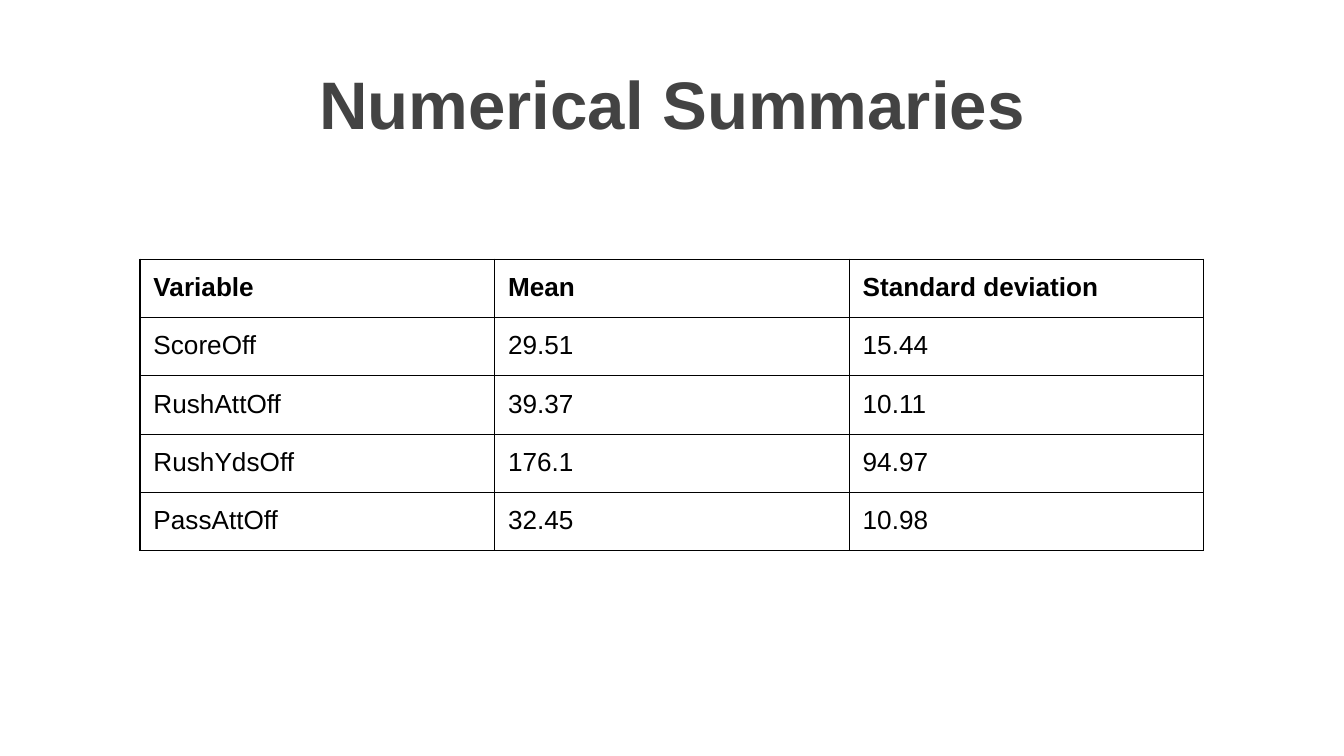
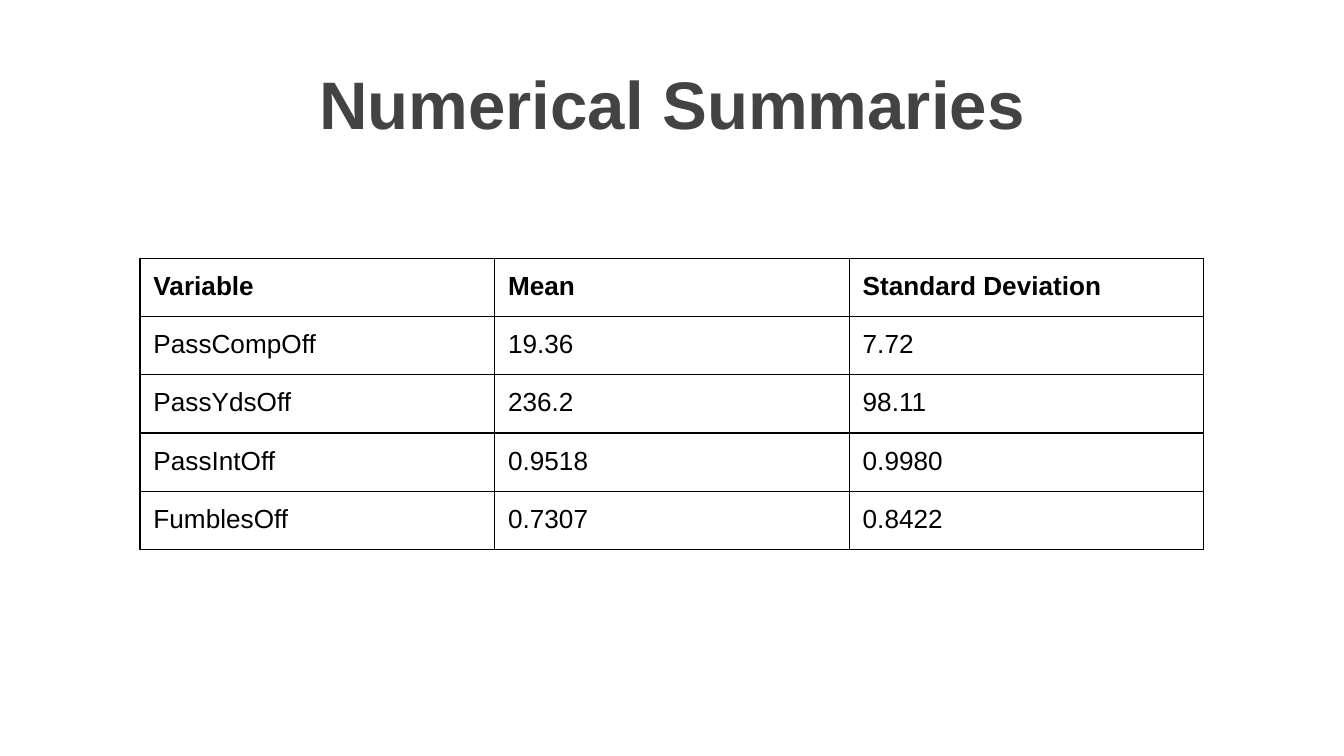
"""Build two slides of numerical summaries, each with a title and a bordered table."""
from lxml.etree import SubElement
from pptx import Presentation
from pptx.dml.color import RGBColor
from pptx.enum.text import MSO_ANCHOR, PP_ALIGN
from pptx.oxml.ns import qn
from pptx.util import Pt

COLORS = {"title": "434343", "text": "000000", "border": "000000"}
FONT = "Arial"
INSET = Pt(7.2)
COLUMN_WIDTH = 190
ROW_HEIGHT = 30.2

SUMMARIES = [
    (138.9, [
        ("Variable", "Mean", "Standard deviation"),
        ("ScoreOff", "29.51", "15.44"),
        ("RushAttOff", "39.37", "10.11"),
        ("RushYdsOff", "176.1", "94.97"),
        ("PassAttOff", "32.45", "10.98"),
    ]),
    (138.3, [
        ("Variable", "Mean", "Standard Deviation"),
        ("PassCompOff", "19.36", "7.72"),
        ("PassYdsOff", "236.2", "98.11"),
        ("PassIntOff", "0.9518", "0.9980"),
        ("FumblesOff", "0.7307", "0.8422"),
    ]),
]


def style_text(text_frame, size, color, bold):
    """Format every run of a text frame."""
    for paragraph in text_frame.paragraphs:
        for run in paragraph.runs:
            run.font.name = FONT
            run.font.size = Pt(size)
            run.font.bold = bold
            run.font.color.rgb = RGBColor.from_string(COLORS[color])


def set_borders(cell, width):
    """Draw a solid line on all four sides of a cell."""
    properties = cell._tc.get_or_add_tcPr()
    for side in ("a:lnL", "a:lnR", "a:lnT", "a:lnB"):
        line = SubElement(properties, qn(side), w=str(Pt(width)))
        fill = SubElement(line, qn("a:solidFill"))
        SubElement(fill, qn("a:srgbClr"), val=COLORS["border"])


presentation = Presentation()
presentation.slide_width = Pt(720)
presentation.slide_height = Pt(405)

for table_top, rows in SUMMARIES:
    slide = presentation.slides.add_slide(presentation.slide_layouts[6])

    title = slide.shapes.add_textbox(Pt(36), Pt(16.2), Pt(648), Pt(67.5))
    text_frame = title.text_frame
    text_frame.word_wrap = True
    text_frame.vertical_anchor = MSO_ANCHOR.BOTTOM
    text_frame.margin_left = text_frame.margin_right = INSET
    text_frame.margin_top = text_frame.margin_bottom = INSET
    text_frame.text = "Numerical Summaries"
    text_frame.paragraphs[0].alignment = PP_ALIGN.CENTER
    style_text(text_frame, 36, "title", True)

    column_count = len(rows[0])
    table = slide.shapes.add_table(
        len(rows), column_count, Pt(75), Pt(table_top),
        Pt(COLUMN_WIDTH * column_count), Pt(ROW_HEIGHT * len(rows))).table
    for column in table.columns:
        column.width = Pt(COLUMN_WIDTH)
    for row_index, values in enumerate(rows):
        table.rows[row_index].height = Pt(ROW_HEIGHT)
        for column_index, value in enumerate(values):
            cell = table.cell(row_index, column_index)
            cell.margin_left = cell.margin_right = INSET
            cell.margin_top = cell.margin_bottom = INSET
            cell.text_frame.text = value
            style_text(cell.text_frame, 14, "text", row_index == 0)
            set_borders(cell, 0.75)
            cell.fill.background()

presentation.save("out.pptx")
